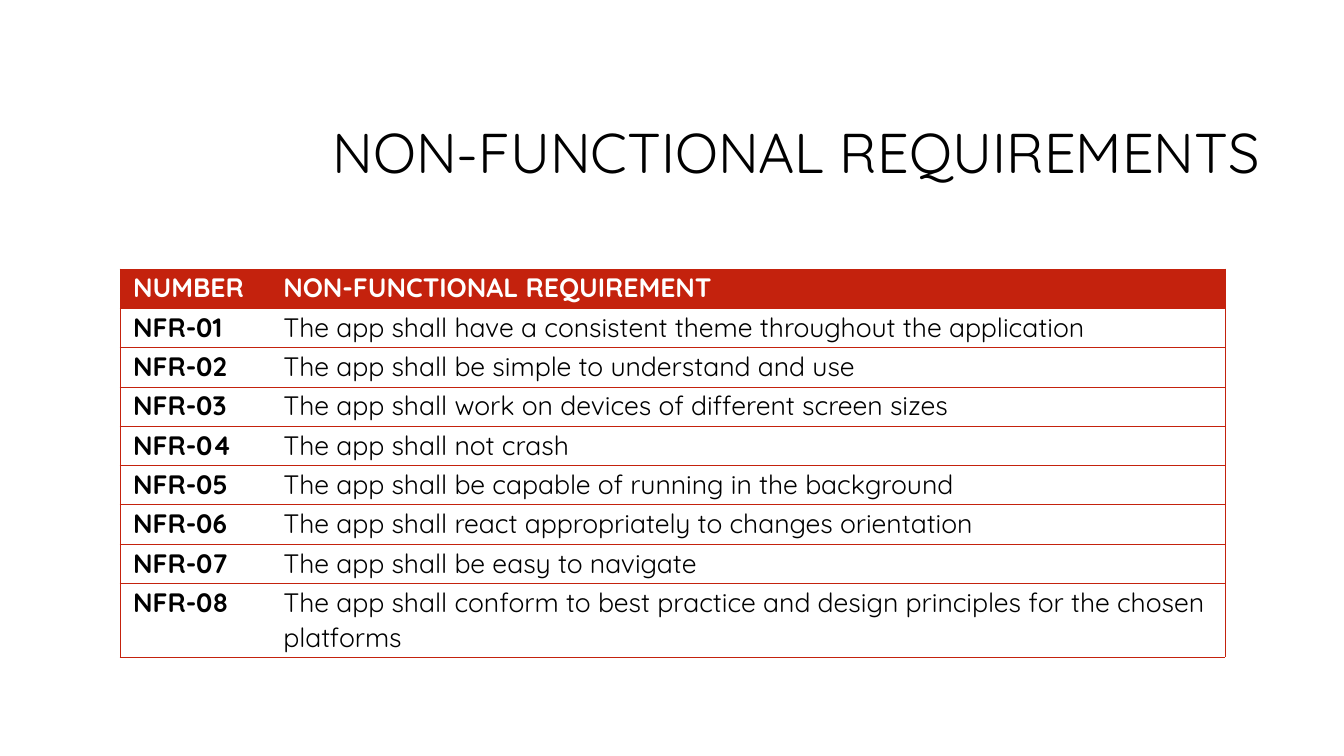
from dataclasses import dataclass

import lxml.etree
import pptx
import pptx.dml.color
import pptx.enum.text
import pptx.oxml.ns
import pptx.util


@dataclass(frozen=True)
class Theme:
    """Colours, font and type sizes of the slide."""
    red: str = "C4220D"
    white: str = "FFFFFF"
    black: str = "000000"
    font: str = "Quicksand"
    head: int = 40
    body: int = 19
    line: float = 0.75


THEME = Theme()
WIDTH = pptx.util.Inches(13.33)
HEIGHT = pptx.util.Inches(7.5)
COLS = (1.49, 9.47)
ROW = 0.39
LAST = 0.73
NEEDS = (
    "The app shall have a consistent theme throughout the application",
    "The app shall be simple to understand and use",
    "The app shall work on devices of different screen sizes",
    "The app shall not crash",
    "The app shall be capable of running in the background",
    "The app shall react appropriately to changes orientation",
    "The app shall be easy to navigate",
    "The app shall conform to best practice and design principles for the chosen platforms",
)


def tint(code):
    """Turn a hex code into a colour."""
    return pptx.dml.color.RGBColor.from_string(code)


def style(para, size, code, bold, space):
    """Format a paragraph and its runs."""
    para.line_spacing = space
    for run in para.runs:
        run.font.name = THEME.font
        run.font.size = pptx.util.Pt(size)
        run.font.bold = bold
        run.font.color.rgb = tint(code)


def place(shape, left, top, width, height):
    """Put a shape at shares of the slide's size."""
    shape.left, shape.width = int(WIDTH * left), int(WIDTH * width)
    shape.top, shape.height = int(HEIGHT * top), int(HEIGHT * height)


def add_title(slide, text):
    """Fill the title placeholder."""
    title = slide.shapes.title
    place(title, 0.238, 0.112, 0.707, 0.188)
    frame = title.text_frame
    frame.text = text
    frame.auto_size = pptx.enum.text.MSO_AUTO_SIZE.NONE
    frame.vertical_anchor = pptx.enum.text.MSO_ANCHOR.MIDDLE
    para = frame.paragraphs[0]
    para.alignment = pptx.enum.text.PP_ALIGN.RIGHT
    style(para, THEME.head, THEME.black, False, 0.9)


def edge(cell, sides):
    """Draw the named sides of a cell and clear the others."""
    props = cell._tc.get_or_add_tcPr()
    name = pptx.oxml.ns.qn
    for side in "LRTB":
        line = lxml.etree.SubElement(props, name("a:ln" + side))
        if side in sides:
            line.set("w", str(pptx.util.Pt(THEME.line)))
            fill = lxml.etree.SubElement(line, name("a:solidFill"))
            lxml.etree.SubElement(fill, name("a:srgbClr"), val=THEME.red)
        else:
            lxml.etree.SubElement(line, name("a:noFill"))


def fill_cell(cell, text, first, head):
    """Write, border and colour one cell."""
    cell.text_frame.text = text
    cell.margin_left = cell.margin_right = pptx.util.Inches(0.13)
    cell.margin_top = cell.margin_bottom = 0
    edge(cell, "LTB" if first else "RTB")
    cell.fill.solid()
    cell.fill.fore_color.rgb = tint(THEME.red if head else THEME.white)
    code = THEME.white if head else THEME.black
    style(cell.text_frame.paragraphs[0], THEME.body, code, first or head, 1.07)


def add_grid(slide, rows):
    """Add the table of requirements."""
    inch = pptx.util.Inches
    tall = ROW * (len(rows) - 1) + LAST
    frame = slide.shapes.add_table(len(rows), len(COLS), inch(1.19), inch(2.67),
                                   inch(sum(COLS)), inch(tall))
    table = frame.table
    table.horz_banding = False
    for col, width in zip(table.columns, COLS):
        col.width = inch(width)
    for i, row in enumerate(rows):
        table.rows[i].height = inch(LAST if i == len(rows) - 1 else ROW)
        for j, text in enumerate(row):
            fill_cell(table.cell(i, j), text, j == 0, i == 0)


def main():
    """Build and save the slide."""
    deck = pptx.Presentation()
    deck.slide_width, deck.slide_height = WIDTH, HEIGHT
    slide = deck.slides.add_slide(deck.slide_layouts[5])
    add_title(slide, "NON-FUNCTIONAL REQUIREMENTS")
    rows = [("NUMBER", "NON-FUNCTIONAL REQUIREMENT")]
    rows += [(f"NFR-{i:02}", need) for i, need in enumerate(NEEDS, 1)]
    add_grid(slide, rows)
    deck.save("out.pptx")


if __name__ == "__main__":
    main()
